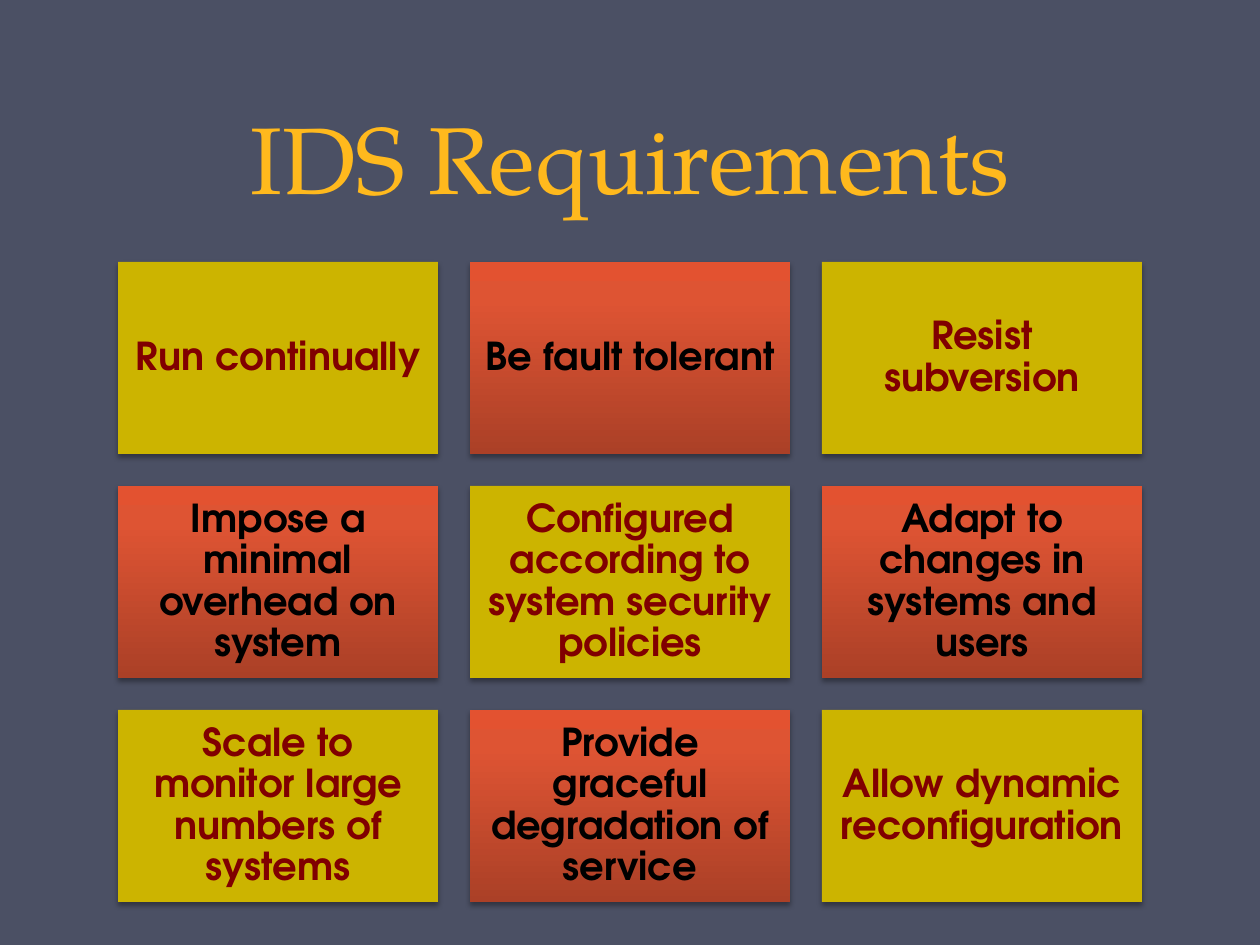
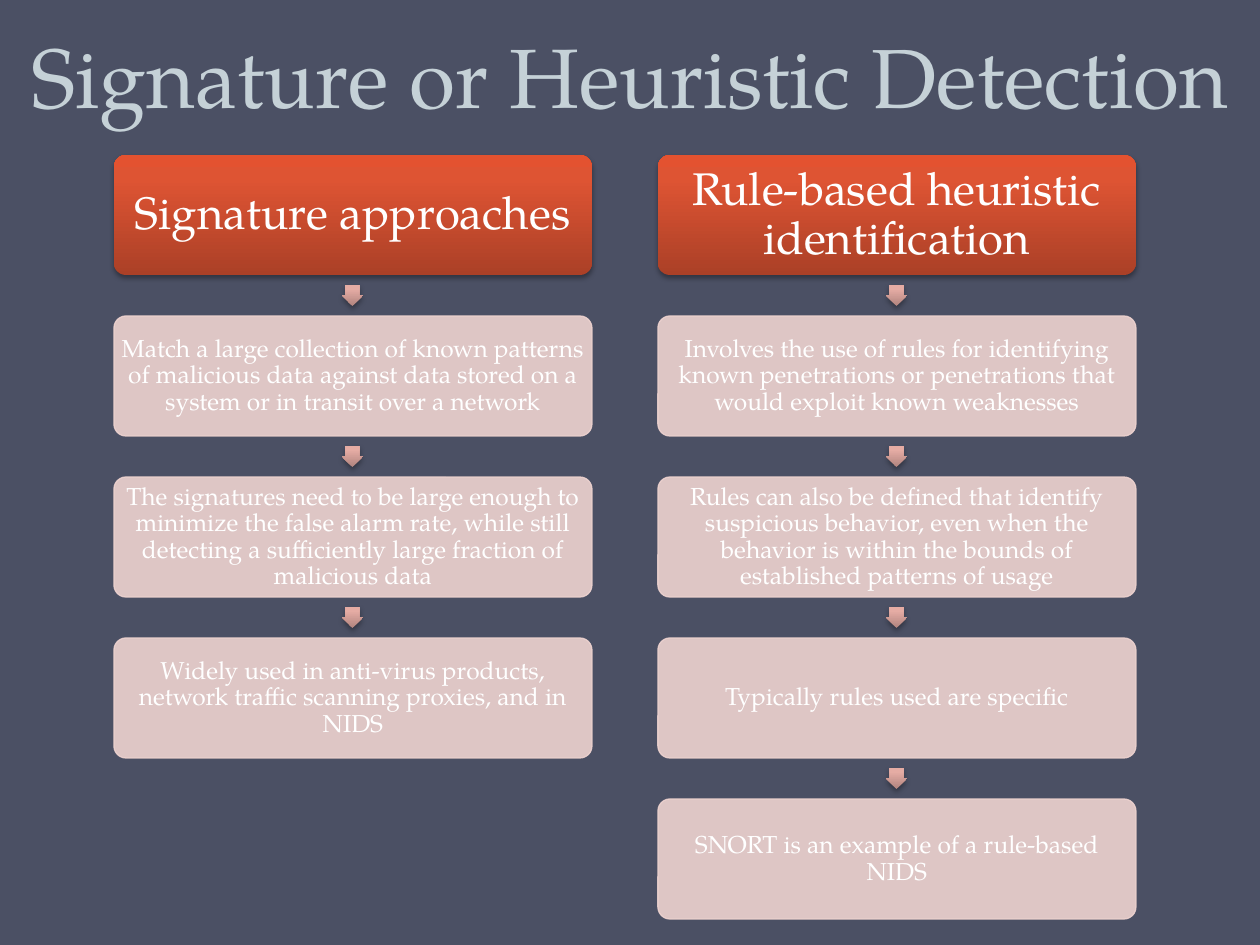
from dataclasses import dataclass

from lxml import etree
from pptx import Presentation
from pptx.dml.color import RGBColor
from pptx.enum.shapes import MSO_SHAPE
from pptx.enum.text import MSO_ANCHOR, MSO_AUTO_SIZE, PP_ALIGN
from pptx.oxml.ns import qn
from pptx.util import Pt

RECTANGLE, ROUNDED = MSO_SHAPE.RECTANGLE, MSO_SHAPE.ROUNDED_RECTANGLE
DOWN_ARROW = MSO_SHAPE.DOWN_ARROW
MIDDLE, BOTTOM = MSO_ANCHOR.MIDDLE, MSO_ANCHOR.BOTTOM
CENTER, NO_AUTOFIT = PP_ALIGN.CENTER, MSO_AUTO_SIZE.NONE

# Shared scale, colours and fonts
PX = 914400 / 126
SLIDE_WIDTH, SLIDE_HEIGHT = 1260, 945
TITLE_ONLY_LAYOUT = 5
SERIF, SANS = "TeX Gyre Pagella", "TeX Gyre Adventor"
COLORS = {
    "background": "4B5064",
    "gold": "FFB91D",
    "mist": "C5D1D7",
    "olive": "CCB400",
    "maroon": "800000",
    "black": "000000",
    "white": "FFFFFF",
    "blush": "EED3D0",
}
GRADIENTS = {
    "ember": ((0, "AB4027"), (80, "DE5433"), (100, "E35230")),
    "rose": ((0, "B1847F"), (80, "E5ACA4"), (100, "E8ACA4")),
}


@dataclass(frozen=True)
class Box:
    left: int
    top: int
    width: int
    height: int

    def emu(self) -> list[int]:
        return [px(n) for n in (self.left, self.top, self.width, self.height)]


@dataclass(frozen=True)
class TextStyle:
    font: str
    size: int
    color: str
    bold: bool = False
    spacing: float | Pt = 0.9
    anchor: MSO_ANCHOR = MIDDLE


@dataclass(frozen=True)
class PanelStyle:
    outline: MSO_SHAPE
    fill: str
    text: TextStyle
    inset: int
    translucent: bool = False


def title_style(size: int, color: str) -> TextStyle:
    return TextStyle(SERIF, size, color, spacing=Pt(58), anchor=BOTTOM)


# Panels used on the slides
OLIVE_CARD = PanelStyle(RECTANGLE, "olive", TextStyle(SANS, 22, "maroon", True), 11)
EMBER_CARD = PanelStyle(RECTANGLE, "ember", TextStyle(SANS, 22, "black", True), 11)
HEADING = PanelStyle(ROUNDED, "ember", TextStyle(SERIF, 26, "white"), 5)
STEP = PanelStyle(ROUNDED, "blush", TextStyle(SERIF, 14, "white"), 2, True)

# Content
REQUIREMENTS = (
    ("Run continually", "Be fault tolerant", "Resist subversion"),
    ("Impose a minimal overhead on system",
     "Configured according to system security policies",
     "Adapt to changes in systems and users"),
    ("Scale to monitor large numbers of systems",
     "Provide graceful degradation of service",
     "Allow dynamic reconfiguration"),
)
APPROACHES = (
    ("Signature approaches",
     "Match a large collection of known patterns of malicious data against "
     "data stored on a system or in transit over a network",
     "The signatures need to be large enough to minimize the false alarm rate, "
     "while still detecting a sufficiently large fraction of malicious data",
     "Widely used in anti-virus products, network traffic scanning proxies, "
     "and in NIDS"),
    ("Rule-based heuristic identification",
     "Involves the use of rules for identifying known penetrations or "
     "penetrations that would exploit known weaknesses",
     "Rules can also be defined that identify suspicious behavior, even when "
     "the behavior is within the bounds of established patterns of usage",
     "Typically rules used are specific",
     "SNORT is an example of a rule-based NIDS"),
)


# Helpers
def px(length: int) -> int:
    return round(length * PX)


def rgb(name: str) -> RGBColor:
    return RGBColor.from_string(COLORS[name])


def apply(target, values: dict) -> None:
    for attribute, value in values.items():
        setattr(target, attribute, value)


def write(shape, text: str, style: TextStyle) -> None:
    frame = shape.text_frame
    frame.text = text
    apply(frame, {"word_wrap": True, "auto_size": NO_AUTOFIT,
                  "vertical_anchor": style.anchor})
    paragraph = frame.paragraphs[0]
    apply(paragraph, {"alignment": CENTER, "line_spacing": style.spacing})
    font = paragraph.runs[0].font
    apply(font, {"name": style.font, "size": Pt(style.size), "bold": style.bold})
    font.color.rgb = rgb(style.color)


def add_color(parent, value: str, alpha: int | None = None) -> None:
    color = etree.SubElement(parent, qn("a:srgbClr"), val=value)
    if alpha is not None:
        etree.SubElement(color, qn("a:alpha"), val=str(alpha * 1000))


def fill_gradient(shape, name: str) -> None:
    shape.fill.gradient()
    shape.fill.gradient_angle = 90
    stops = shape._element.spPr.find(qn("a:gradFill")).find(qn("a:gsLst"))
    for stop in list(stops):
        stops.remove(stop)
    for position, value in GRADIENTS[name]:
        add_color(etree.SubElement(stops, qn("a:gs"), pos=str(position * 1000)), value)


def add_soft_shadow(shape) -> None:
    effects = shape._element.spPr.find(qn("a:effectLst"))
    shadow = etree.SubElement(
        effects, qn("a:outerShdw"), blurRad=str(Pt(3.1)), dist=str(Pt(1.8)),
        dir="5400000", rotWithShape="0")
    add_color(shadow, COLORS["black"], 35)


def add_filled_shape(slide, outline: MSO_SHAPE, box: Box, fill: str):
    shape = slide.shapes.add_shape(outline, *box.emu())
    shape.shadow.inherit = False
    shape.line.fill.background()
    if fill in GRADIENTS:
        fill_gradient(shape, fill)
    else:
        shape.fill.solid()
        shape.fill.fore_color.rgb = rgb(fill)
    return shape


def add_panel(slide, box: Box, text: str, style: PanelStyle) -> None:
    panel = add_filled_shape(slide, style.outline, box, style.fill)
    if style.outline == ROUNDED:
        panel.adjustments[0] = 0.1
    if style.translucent:
        panel.line.color.rgb = rgb(style.fill)
        panel.line.width = Pt(0.75)
        for color in panel._element.spPr.iter(qn("a:srgbClr")):
            etree.SubElement(color, qn("a:alpha"), val="90000")
    else:
        add_soft_shadow(panel)
    sides = ("left", "top", "right", "bottom")
    apply(panel.text_frame, {f"margin_{side}": px(style.inset) for side in sides})
    write(panel, text, style.text)


def add_arrow(slide, box: Box) -> None:
    arrow = add_filled_shape(slide, DOWN_ARROW, box, "rose")
    arrow.adjustments[0] = 0.67
    arrow.adjustments[1] = 0.5
    add_soft_shadow(arrow)


def add_titled_slide(prs, title: str, box: Box, style: TextStyle):
    slide = prs.slides.add_slide(prs.slide_layouts[TITLE_ONLY_LAYOUT])
    heading = slide.shapes.title
    apply(heading, dict(zip(("left", "top", "width", "height"), box.emu())))
    write(heading, title, style)
    return slide


# Slides
def build_requirements(prs) -> None:
    slide = add_titled_slide(prs, "IDS Requirements", Box(63, 0, 1134, 220),
                             title_style(54, "gold"))
    left, top, width, height, gap = 118, 262, 320, 192, 32
    for row, requirements in enumerate(REQUIREMENTS):
        for column, requirement in enumerate(requirements):
            box = Box(left + column * (width + gap), top + row * (height + gap),
                      width, height)
            style = EMBER_CARD if (row + column) % 2 else OLIVE_CARD
            add_panel(slide, box, requirement, style)


def build_detection(prs) -> None:
    slide = add_titled_slide(prs, "Signature or Heuristic Detection",
                             Box(0, -53, SLIDE_WIDTH, 185), title_style(48, "mist"))
    left, top, width, height = 114, 155, 478, 120
    column_step, row_step, arrow_size = 544, 161, 21
    arrow_rise = (row_step - height + arrow_size) // 2
    for column, steps in enumerate(APPROACHES):
        x = left + column * column_step
        for row, text in enumerate(steps):
            y = top + row * row_step
            if row:
                add_arrow(slide, Box(x + (width - arrow_size) // 2, y - arrow_rise,
                                     arrow_size, arrow_size))
            add_panel(slide, Box(x, y, width, height), text, STEP if row else HEADING)


def main() -> None:
    prs = Presentation()
    apply(prs, {"slide_width": px(SLIDE_WIDTH), "slide_height": px(SLIDE_HEIGHT)})
    background = prs.slide_master.background.fill
    background.solid()
    background.fore_color.rgb = rgb("background")
    build_requirements(prs)
    build_detection(prs)
    prs.save("out.pptx")


if __name__ == "__main__":
    main()
